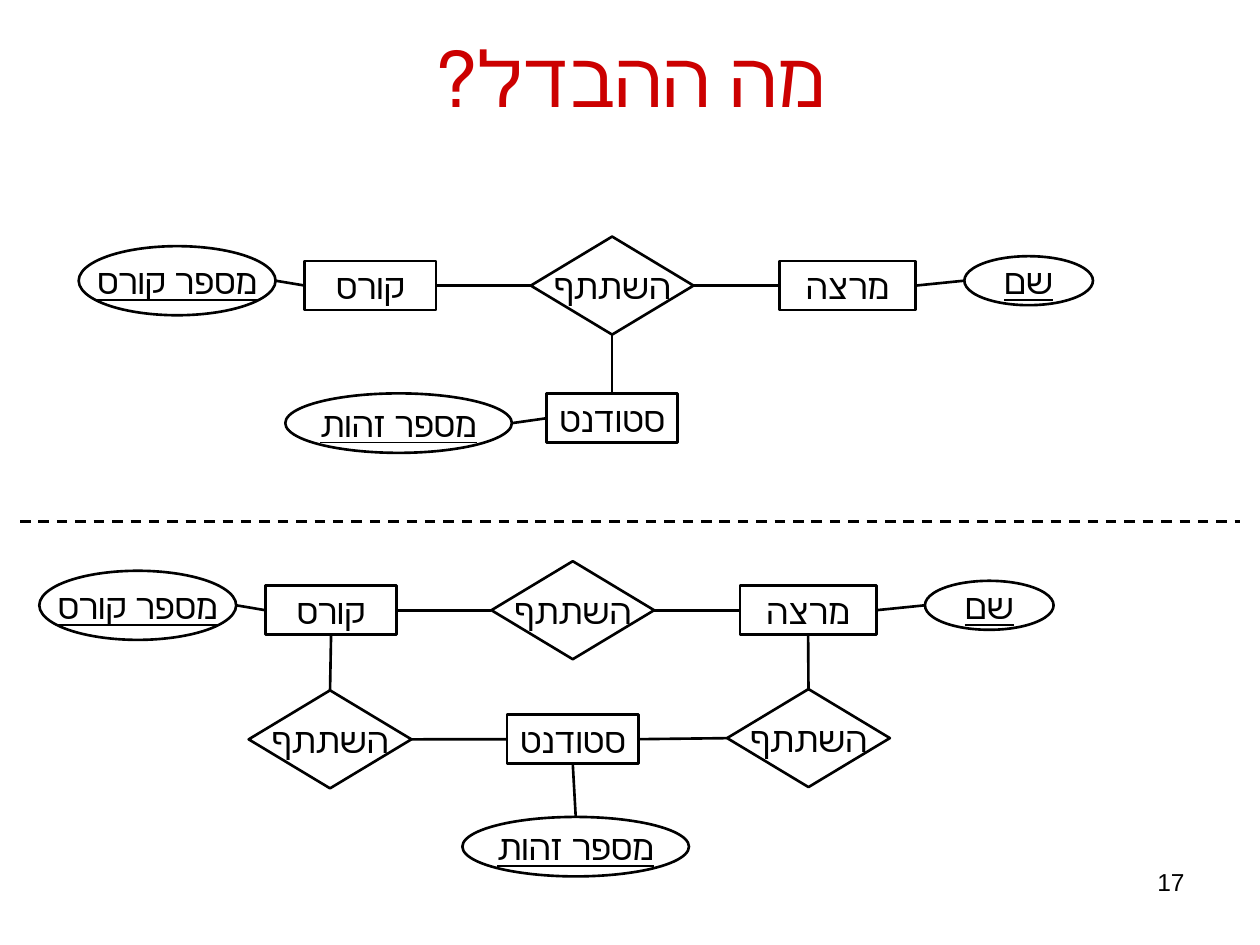
from pptx import Presentation
from pptx.dml.color import RGBColor
from pptx.enum.dml import MSO_LINE
from pptx.enum.shapes import MSO_CONNECTOR, MSO_SHAPE
from pptx.enum.text import MSO_ANCHOR, PP_ALIGN
from pptx.oxml.ns import qn
from pptx.util import Pt
from lxml import etree

RECTANGLE, DIAMOND, ELLIPSE = MSO_SHAPE.RECTANGLE, MSO_SHAPE.DIAMOND, MSO_SHAPE.OVAL
STRAIGHT, DASH = MSO_CONNECTOR.STRAIGHT, MSO_LINE.DASH
MIDDLE, CENTER, RIGHT_ALIGN = MSO_ANCHOR.MIDDLE, PP_ALIGN.CENTER, PP_ALIGN.RIGHT
TOP, LEFT, BOTTOM, RIGHT = range(4)
BLACK, RED = "000000", "CC0000"


def write(shape, text, size, color, alignment):
    text_frame = shape.text_frame
    text_frame.text = text
    paragraph = text_frame.paragraphs[0]
    paragraph.alignment = alignment
    font = paragraph.runs[0].font
    font.name, font.size = "Arial", Pt(size)
    font.color.rgb = RGBColor.from_string(color)
    return paragraph


def draw_line(x1, y1, x2, y2):
    connector = slide.shapes.add_connector(STRAIGHT, x1, y1, x2, y2)
    connector.line.width = Pt(1.5)
    connector.line.color.rgb = RGBColor.from_string(BLACK)
    etree.SubElement(connector._element.spPr, qn("a:effectLst"))
    return connector


presentation = Presentation()
presentation.slide_width, presentation.slide_height = Pt(720), Pt(540)
slide = presentation.slides.add_slide(presentation.slide_layouts[6])

# Title, read from right to left
title = slide.shapes.add_textbox(Pt(36), Pt(21.6), Pt(648), Pt(44))
title.text_frame.word_wrap = True
title.text_frame.vertical_anchor = MIDDLE
paragraph = write(title, "מה ההבדל?", 44, RED, CENTER)
paragraph._p.get_or_add_pPr().set("rtl", "1")

# Slide number
number = slide.shapes.add_textbox(Pt(516), Pt(492), Pt(168), Pt(37.5))
number.text_frame.word_wrap = True
write(number, "17", 14, BLACK, RIGHT_ALIGN)

# Kinds of node: preset, text, width, height
KINDS = {
    "lecturer": (RECTANGLE, "מרצה", 78, 28),
    "course": (RECTANGLE, "קורס", 75, 28),
    "student": (RECTANGLE, "סטודנט", 75, 28),
    "takes part": (DIAMOND, "השתתף", 93, 56),
    "name": (ELLIPSE, "שם", 73.5, 28),
    "course number": (ELLIPSE, "מספר קורס", 112.5, 39.5),
    "identity number": (ELLIPSE, "מספר זהות", 129.5, 34),
}

# The top row is the same in both diagrams: kind, centre x, centre y
TOP_ROW = [
    ("lecturer", 484.3, 163.2), ("course", 211.7, 163.2), ("takes part", 349.8, 163.2),
    ("name", 587.8, 160.4), ("course number", 101.2, 160.4),
]
TOP_LINKS = [
    ("course", RIGHT, "takes part", LEFT), ("takes part", RIGHT, "lecturer", LEFT),
    ("course number", RIGHT, "course", LEFT), ("name", LEFT, "lecturer", RIGHT),
]

# Each diagram: shift of the top row, further nodes (key, kind, centre), further links
DIAGRAMS = [
    (0, 0,
     [("student", "student", 349.8, 239), ("identity", "identity number", 227.8, 241.8)],
     [("takes part", BOTTOM, "student", TOP), ("student", LEFT, "identity", RIGHT)]),
    (-22.5, 185.5,
     [("student", "student", 327.3, 422.4), ("identity", "identity number", 329, 483.8),
      ("left part", "takes part", 188.6, 422.5), ("right part", "takes part", 462, 421.8)],
     [("lecturer", BOTTOM, "right part", TOP), ("course", BOTTOM, "left part", TOP),
      ("left part", RIGHT, "student", LEFT), ("student", RIGHT, "right part", LEFT),
      ("student", BOTTOM, "identity", TOP)]),
]

for shift_x, shift_y, more_nodes, more_links in DIAGRAMS:
    # Nodes
    nodes = {}
    top_nodes = [(kind, kind, x + shift_x, y + shift_y) for kind, x, y in TOP_ROW]
    for key, kind, x, y in top_nodes + more_nodes:
        preset, text, width, height = KINDS[kind]
        shape = slide.shapes.add_shape(
            preset, Pt(x - width / 2), Pt(y - height / 2), Pt(width), Pt(height))
        shape.shadow.inherit = False
        shape.fill.background()
        shape.line.width = Pt(1.5)
        shape.line.color.rgb = RGBColor.from_string(BLACK)
        shape.text_frame.word_wrap = False
        shape.text_frame.vertical_anchor = MIDDLE
        paragraph = write(shape, text, 20, BLACK, CENTER)
        if preset == ELLIPSE:
            paragraph.runs[0].font.underline = True
        ends = [(x, y - height / 2), (x - width / 2, y),
                (x, y + height / 2), (x + width / 2, y)]
        nodes[key] = shape, ends

    # Links between the middles of the sides
    for start, start_side, end, end_side in TOP_LINKS + more_links:
        start_shape, start_ends = nodes[start]
        end_shape, end_ends = nodes[end]
        points = start_ends[start_side] + end_ends[end_side]
        connector = draw_line(*[Pt(value) for value in points])
        if start_shape.auto_shape_type != ELLIPSE:
            connector.begin_connect(start_shape, start_side)
        if end_shape.auto_shape_type != ELLIPSE:
            connector.end_connect(end_shape, end_side)

# Dashed divider between the diagrams
divider = draw_line(Pt(11.5), Pt(298), Pt(708.5), Pt(298))
divider.line.dash_style = DASH

presentation.save("out.pptx")
